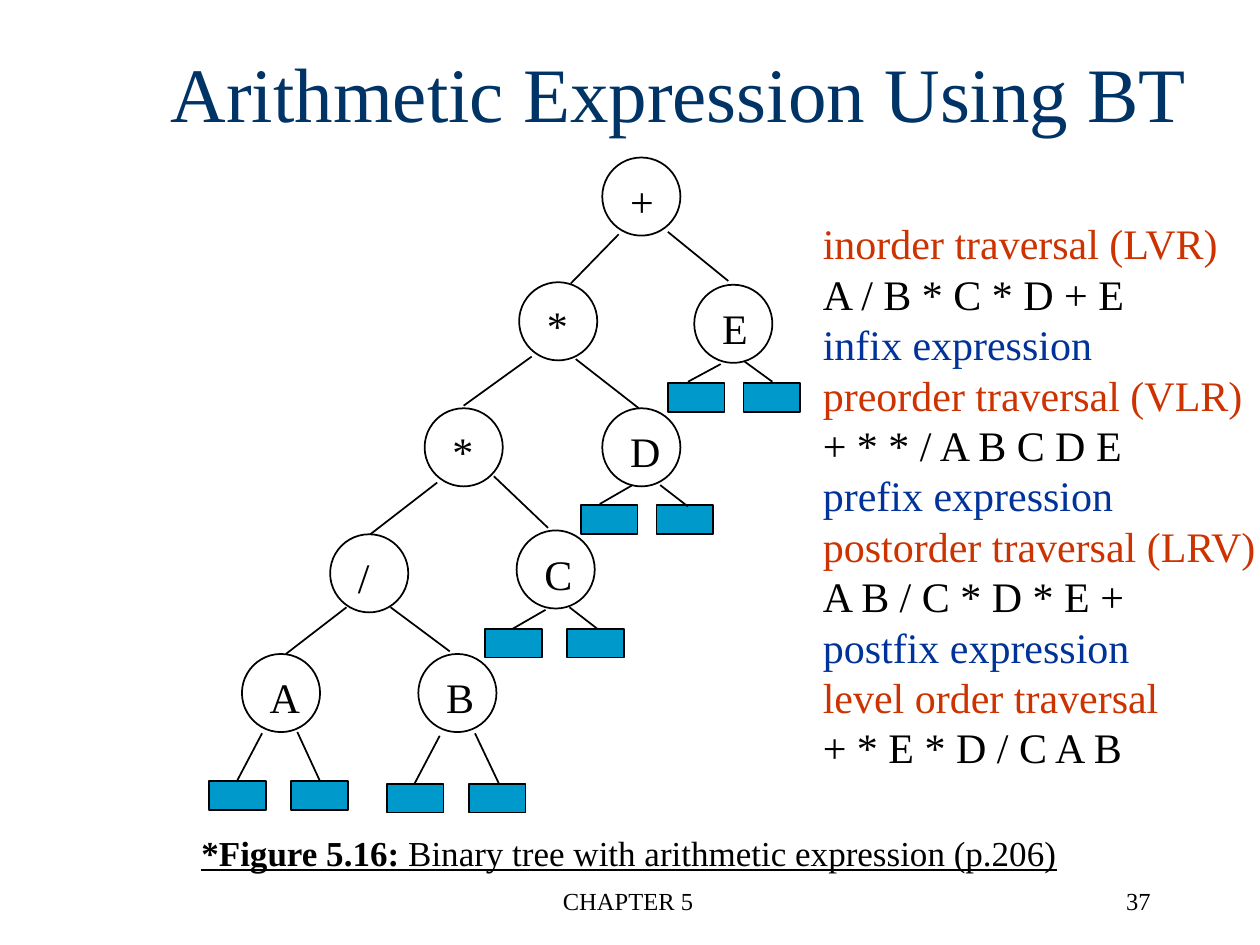
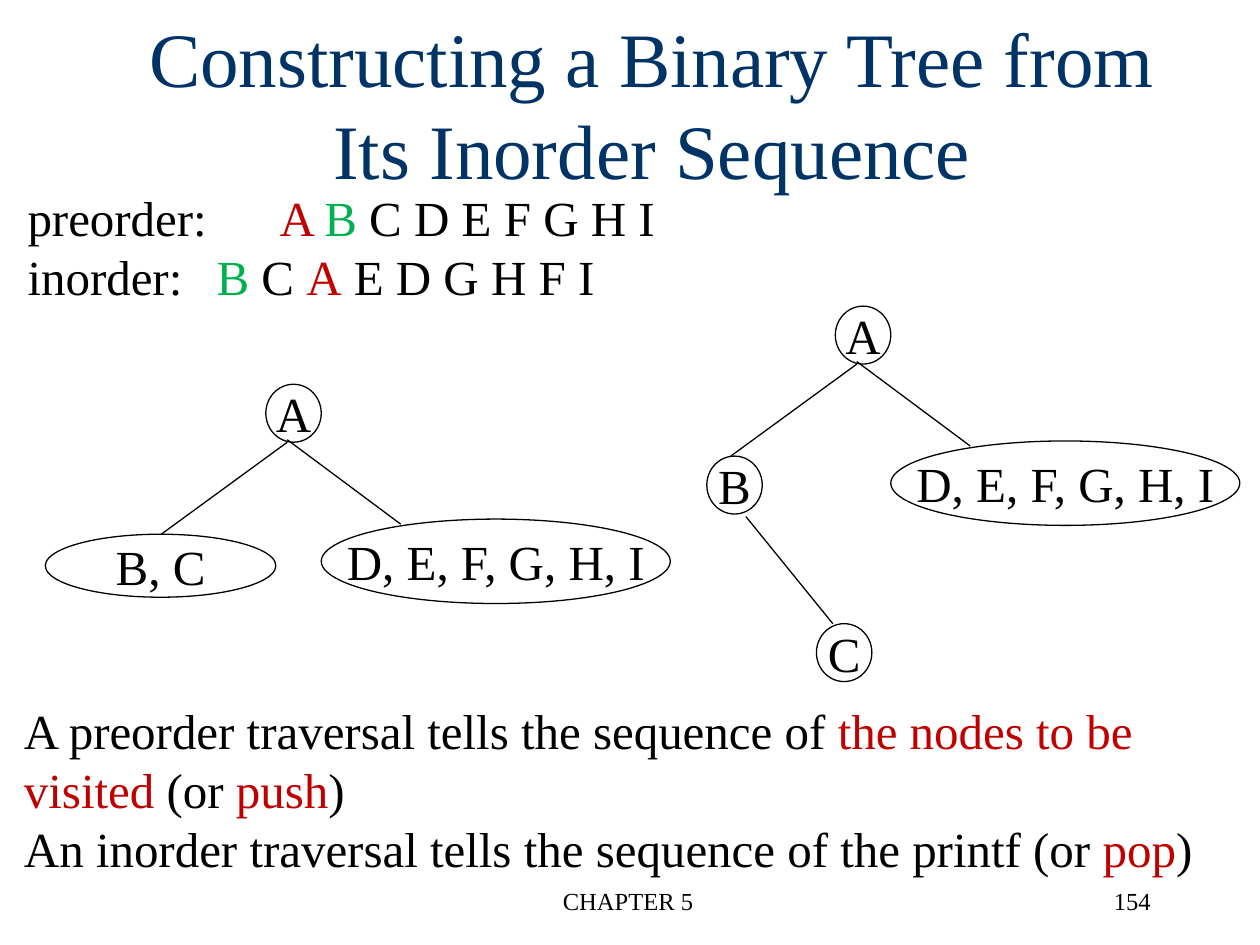
from dataclasses import dataclass
from typing import NamedTuple

from lxml.etree import SubElement
from pptx import Presentation
from pptx.dml.color import RGBColor
from pptx.enum.shapes import MSO_CONNECTOR, MSO_SHAPE
from pptx.enum.text import MSO_ANCHOR, MSO_AUTO_SIZE, PP_ALIGN
from pptx.oxml.ns import qn
from pptx.util import Inches, Pt


@dataclass(frozen=True)
class Theme:
    font: str = "Times New Roman"
    title_color: str = "003366"
    ink: str = "000000"
    orange: str = "CC3300"
    blue: str = "003399"
    red: str = "C00000"
    green: str = "00B050"
    leaf_fill: str = "0099CC"
    title_size: float = 44
    large_size: float = 28
    body_size: float = 24
    caption_size: float = 20
    footer_size: float = 14
    line_ratio: float = 1.2


THEME = Theme()


class Box(NamedTuple):
    left: float
    top: float
    width: float
    height: float

    def lengths(self):
        return tuple(Inches(value) for value in self)


class Span(NamedTuple):
    text: str
    color: str = THEME.ink
    bold: bool = False
    underline: bool = False


class Node(NamedTuple):
    symbol: str
    box: Box


class Edge(NamedTuple):
    start_x: float
    start_y: float
    end_x: float
    end_y: float


class LeafPair(NamedTuple):
    first_left: float
    second_left: float
    top: float


CIRCLE = 0.62
LEAF_WIDTH, LEAF_HEIGHT = 0.45, 0.23

EXPRESSION_NODES = [
    Node(symbol, Box(left, top, CIRCLE, CIRCLE))
    for symbol, left, top in [
        ("+", 4.78, 1.25), ("*", 4.12, 2.24), ("E", 5.51, 2.26),
        ("*", 3.37, 3.24), ("D", 4.78, 3.24), ("/", 2.62, 4.24),
        ("C", 4.1, 4.21), ("A", 1.92, 5.19), ("B", 3.32, 5.19),
    ]
]
EXPRESSION_EDGES = [
    Edge(4.91, 1.86, 4.53, 2.25), Edge(5.3, 1.84, 5.78, 2.23),
    Edge(4.22, 2.83, 3.68, 3.22), Edge(4.57, 2.85, 5.07, 3.24),
    Edge(3.47, 3.83, 2.94, 4.24), Edge(3.92, 3.78, 4.35, 4.19),
    Edge(2.75, 4.82, 2.27, 5.19), Edge(3.1, 4.82, 3.57, 5.17),
    Edge(2.08, 5.82, 1.88, 6.2), Edge(2.36, 5.81, 2.54, 6.2),
    Edge(3.49, 5.84, 3.29, 6.22), Edge(3.77, 5.82, 3.96, 6.22),
    Edge(4.33, 4.84, 4.07, 4.99), Edge(4.52, 4.82, 4.74, 4.99),
    Edge(5.02, 3.85, 4.76, 4), Edge(5.24, 3.85, 5.46, 4.02),
    Edge(5.72, 2.89, 5.46, 3.03), Edge(5.91, 2.87, 6.13, 3.03),
]
LEAF_PAIRS = [
    LeafPair(1.66, 2.31, 6.2), LeafPair(3.07, 3.72, 6.22),
    LeafPair(3.85, 4.5, 4.99), LeafPair(4.61, 5.21, 4.01),
    LeafPair(5.3, 5.9, 3.04),
]
TRAVERSALS = [
    [Span("inorder traversal (LVR)", THEME.orange)],
    [Span("A / B * C * D + E")],
    [Span("infix expression", THEME.blue)],
    [Span("preorder traversal (VLR)", THEME.orange)],
    [Span("+ * * / A B C D E")],
    [Span("prefix expression", THEME.blue)],
    [Span("postorder traversal (LRV)", THEME.orange)],
    [Span("A B / C * D * E +")],
    [Span("postfix expression", THEME.blue)],
    [Span("level order traversal", THEME.orange)],
    [Span("+ * E * D / C A B")],
]
CAPTION = [[
    Span("*Figure 5.16:", bold=True, underline=True),
    Span(" Binary tree with arithmetic expression (p.206)", underline=True),
]]
SEQUENCES = [
    [Span("preorder: \t"), Span("A ", THEME.red), Span("B", THEME.green),
     Span(" C D E F G H I")],
    [Span("inorder:\t"), Span("B", THEME.green), Span(" C "),
     Span("A", THEME.red), Span(" E D G H F I")],
]
STATEMENTS = [
    [Span("A preorder traversal tells the sequence of "),
     Span("the nodes to be visited ", THEME.red), Span("(or"),
     Span(" push", THEME.red), Span(")")],
    [Span("An inorder traversal tells the sequence of the printf (or "),
     Span("pop", THEME.red), Span(")")],
]
ROOT_WIDTH, ROOT_HEIGHT = 0.44, 0.46


def style_font(font, size: float, span: Span) -> None:
    font.name = THEME.font
    font.size = Pt(size)
    font.bold = span.bold
    font.underline = span.underline
    font.color.rgb = RGBColor.from_string(span.color)


def write_lines(text_frame, lines: list[list[Span]], size: float,
                alignment=PP_ALIGN.LEFT, tab: float = 0) -> None:
    for index, spans in enumerate(lines):
        paragraph = text_frame.paragraphs[0] if index == 0 else text_frame.add_paragraph()
        properties = paragraph._p.get_or_add_pPr()
        properties.set("marL", "0")
        properties.set("indent", "0")
        SubElement(properties, qn("a:buNone"))
        if tab:
            stops = SubElement(properties, qn("a:tabLst"))
            SubElement(stops, qn("a:tab"), pos=str(Inches(tab)), algn="l")
        paragraph.alignment = alignment
        paragraph.space_before = Pt(0)
        paragraph.line_spacing = Pt(size * THEME.line_ratio)
        for span in spans:
            run = paragraph.add_run()
            run.text = span.text
            style_font(run.font, size, span)


def fill_placeholder(shape, box: Box, lines: list[list[Span]], size: float,
                     alignment=PP_ALIGN.LEFT, anchor=MSO_ANCHOR.TOP) -> None:
    shape.left, shape.top, shape.width, shape.height = box.lengths()
    text_frame = shape.text_frame
    text_frame.auto_size = MSO_AUTO_SIZE.NONE
    text_frame.vertical_anchor = anchor
    text_frame.word_wrap = True
    text_frame.margin_right = 0 if alignment == PP_ALIGN.LEFT else Inches(0.1)
    write_lines(text_frame, lines, size, alignment)


def add_text(slide, box: Box, lines: list[list[Span]], size: float,
             alignment=PP_ALIGN.LEFT, wrap: bool = True, tab: float = 0) -> None:
    text_frame = slide.shapes.add_textbox(*box.lengths()).text_frame
    text_frame.word_wrap = wrap
    write_lines(text_frame, lines, size, alignment, tab)


def add_outlined_shape(slide, preset, box: Box, line_width: float, fill: str = ""):
    shape = slide.shapes.add_shape(preset, *box.lengths())
    shape.shadow.inherit = False
    if fill:
        shape.fill.solid()
        shape.fill.fore_color.rgb = RGBColor.from_string(fill)
    else:
        shape.fill.background()
    shape.line.color.rgb = RGBColor.from_string(THEME.ink)
    shape.line.width = Pt(line_width)
    return shape


def add_edge(slide, edge: Edge, line_width: float) -> None:
    connector = slide.shapes.add_connector(
        MSO_CONNECTOR.STRAIGHT, *(Inches(value) for value in edge))
    connector.line.color.rgb = RGBColor.from_string(THEME.ink)
    connector.line.width = Pt(line_width)
    SubElement(connector._element.spPr, qn("a:effectLst"))


def add_expression_node(slide, node: Node) -> None:
    shape = add_outlined_shape(slide, MSO_SHAPE.OVAL, node.box, 1)
    text_frame = shape.text_frame
    text_frame.vertical_anchor = MSO_ANCHOR.TOP
    text_frame.margin_left, text_frame.margin_top = Inches(0.13), Inches(0.05)
    text_frame.margin_right = text_frame.margin_bottom = 0
    write_lines(text_frame, [[Span(node.symbol)]], THEME.body_size)


def add_set_node(slide, node: Node) -> None:
    shape = add_outlined_shape(slide, MSO_SHAPE.OVAL, node.box, 0.75)
    shape.text_frame.word_wrap = False
    shape.text_frame.vertical_anchor = MSO_ANCHOR.MIDDLE
    write_lines(shape.text_frame, [[Span(node.symbol)]], THEME.large_size, PP_ALIGN.CENTER)


def add_split_tree(slide, left: float, top: float, left_child: Node) -> None:
    add_set_node(slide, Node("A", Box(left, top, ROOT_WIDTH, ROOT_HEIGHT)))
    add_set_node(slide, left_child)
    add_set_node(slide, Node("D, E, F, G, H, I", Box(left + 0.44, top + 1.07, 2.77, 0.67)))
    apex = left + 0.17
    add_edge(slide, Edge(apex, top + 0.46, apex - 1, top + 1.19), 0.75)
    add_edge(slide, Edge(apex, top + 0.44, apex + 0.9, top + 1.11), 0.75)


def start_slide(presentation, title: str, title_box: Box, anchor, number: str):
    slide = presentation.slides.add_slide(presentation.slide_layouts[1])
    fill_placeholder(slide.shapes.title, title_box, [[Span(title, THEME.title_color)]],
                     THEME.title_size, PP_ALIGN.CENTER, anchor)
    add_text(slide, Box(3.4, 6.98, 3.17, 0.5), [[Span("CHAPTER 5")]],
             THEME.footer_size, PP_ALIGN.CENTER)
    add_text(slide, Box(7.15, 6.98, 2.08, 0.5), [[Span(number)]],
             THEME.footer_size, PP_ALIGN.RIGHT)
    return slide


def build_expression_slide(presentation) -> None:
    slide = start_slide(presentation, "Arithmetic Expression Using BT",
                        Box(0.38, 0.1, 10.02, 1.25), MSO_ANCHOR.MIDDLE, "37")
    for node in EXPRESSION_NODES:
        add_expression_node(slide, node)
    for pair in LEAF_PAIRS:
        for left in (pair.first_left, pair.second_left):
            add_outlined_shape(slide, MSO_SHAPE.RECTANGLE,
                               Box(left, pair.top, LEAF_WIDTH, LEAF_HEIGHT),
                               1, THEME.leaf_fill)
    for edge in EXPRESSION_EDGES:
        add_edge(slide, edge, 1)
    fill_placeholder(slide.placeholders[1], Box(6.43, 1.68, 3.67, 4.54),
                     TRAVERSALS, THEME.body_size)
    add_text(slide, Box(1.5, 6.55, 7.03, 0.44), CAPTION, THEME.caption_size, wrap=False)


def build_construction_slide(presentation) -> None:
    slide = start_slide(presentation, "Constructing a Binary Tree from Its Inorder Sequence",
                        Box(0.73, 0.03, 8.89, 1.25), MSO_ANCHOR.TOP, "154")
    add_text(slide, Box(0.12, 1.44, 5.21, 1.03), SEQUENCES, THEME.large_size,
             wrap=False, tab=2)
    add_split_tree(slide, 2.11, 3.05, Node("B, C", Box(0.36, 4.24, 1.83, 0.5)))
    add_split_tree(slide, 6.63, 2.43, Node("B", Box(5.61, 3.62, ROOT_WIDTH, ROOT_HEIGHT)))
    add_set_node(slide, Node("C", Box(6.48, 4.95, ROOT_WIDTH, ROOT_HEIGHT)))
    add_edge(slide, Edge(5.92, 4.1, 6.61, 4.95), 0.75)
    fill_placeholder(slide.placeholders[1], Box(0.09, 5.51, 9.66, 1.51),
                     STATEMENTS, THEME.large_size)


def main() -> None:
    presentation = Presentation()
    presentation.slide_width, presentation.slide_height = Inches(10), Inches(7.5)
    build_expression_slide(presentation)
    build_construction_slide(presentation)
    presentation.save("out.pptx")


if __name__ == "__main__":
    main()
